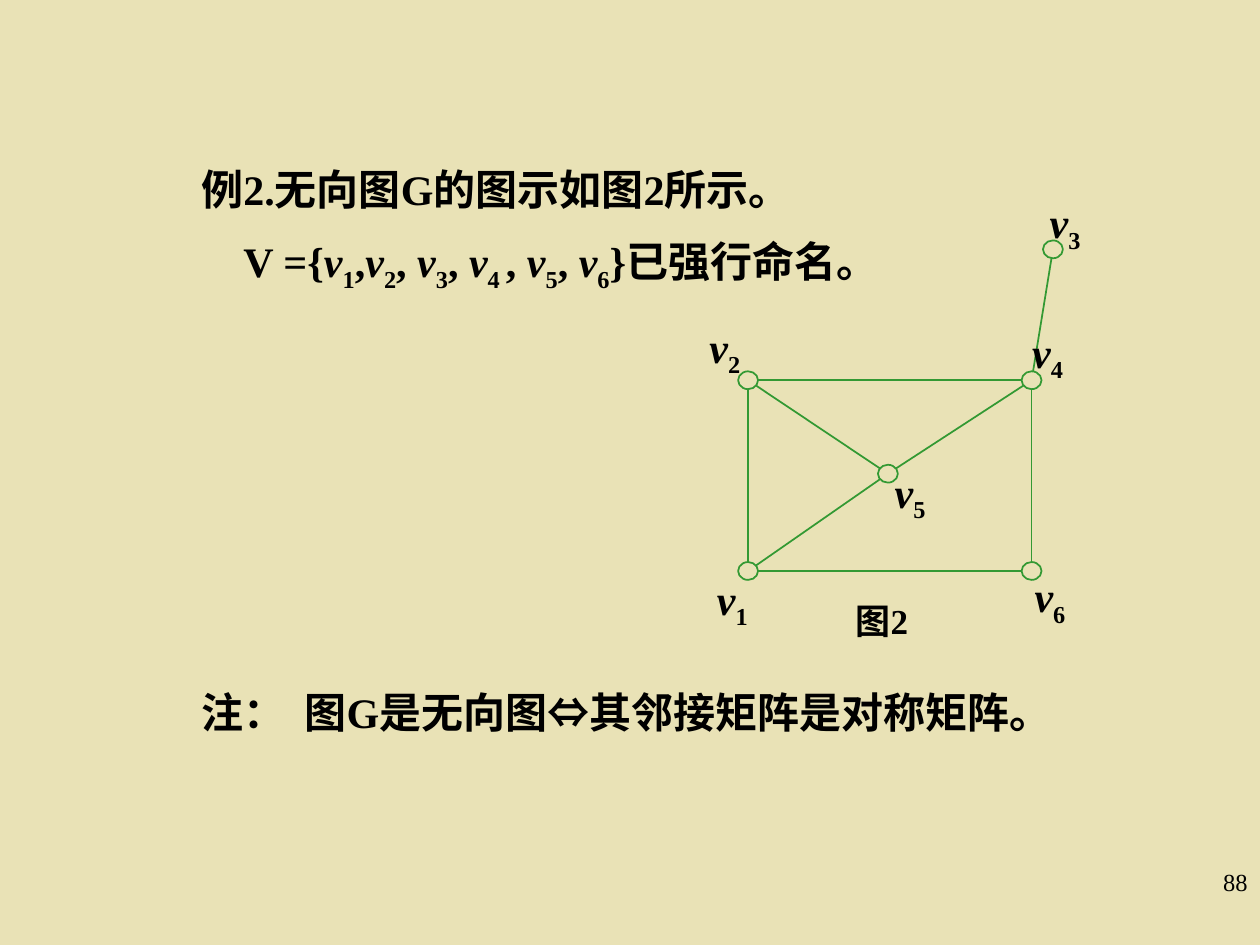
import math

import pptx
import pptx.dml.color
import pptx.enum.shapes
import pptx.enum.text
import pptx.oxml
import pptx.oxml.ns
import pptx.util

Pt = pptx.util.Pt
ALIGN = pptx.enum.text.PP_ALIGN
COLORS = {"background": "E9E2B6", "text": "000000", "graph": "339933"}
NODE_WIDTH, NODE_HEIGHT = 11.4, 10.2

# Node centre and label corner, the label measured from its node
NODES = {
    1: ((22.5, 214.3), (-17.8, 1.3)),
    2: ((22.5, 105.3), (-22.1, -33.7)),
    3: ((196.7, 30.5), (-1.9, -30.2)),
    4: ((184.5, 105.3), (0.3, -30.8)),
    5: ((102.4, 158.7), (3.8, -4.3)),
    6: ((184.5, 214.3), (1.7, 0)),
}
# Node pairs with line width
EDGES = [(2, 4, 1), (1, 6, 1), (1, 2, 1), (4, 6, 0.75),
         (2, 5, 1), (5, 1, 1), (4, 5, 1), (3, 4, 1)]


def color(name):
    return pptx.dml.color.RGBColor.from_string(COLORS[name])


def variable(index):
    """Spans for an italic v with a subscript."""
    return [("v", {"italic": True}), (index, {"sub": True})]


def add_text(page, area, paragraphs, size=24, bold=True, align=ALIGN.LEFT,
             inset=(0, 0), wrap=False, line_spacing=1, space=0, indents=(), tab=None):
    box = page.shapes.add_textbox(*(Pt(value) for value in area))
    frame = box.text_frame
    frame.word_wrap = wrap
    frame.margin_left = frame.margin_right = Pt(inset[0])
    frame.margin_top = frame.margin_bottom = Pt(inset[1])
    for index, spans in enumerate(paragraphs):
        para = frame.add_paragraph() if index else frame.paragraphs[0]
        para.alignment = align
        para.line_spacing = line_spacing
        para.space_before = Pt(space if index else 0)
        properties = para._p.get_or_add_pPr()
        if indents:
            properties.set("marL", str(Pt(indents[index])))
        if tab:
            stops = pptx.oxml.parse_xml(
                f'<a:tabLst {pptx.oxml.ns.nsdecls("a")}><a:tab pos="{Pt(tab)}" algn="l"/></a:tabLst>')
            properties.append(stops)
        for text, style in spans:
            span = para.add_run()
            span.text = text
            span.font.size = Pt(size)
            span.font.bold = bold
            span.font.italic = style.get("italic", False)
            span.font.name = style.get("font", "Times New Roman")
            span.font.color.rgb = color("text")
            if style.get("sub"):
                span.font._element.set("baseline", "-25000")
    return box


def add_node(page, x, y):
    node = page.shapes.add_shape(
        pptx.enum.shapes.MSO_SHAPE.OVAL, Pt(x - NODE_WIDTH / 2), Pt(y - NODE_HEIGHT / 2),
        Pt(NODE_WIDTH), Pt(NODE_HEIGHT))
    node.shadow.inherit = False
    node.fill.background()
    node.line.color.rgb = color("graph")
    node.line.width = Pt(1)


def add_edge(page, start, end, width):
    """Join two node centres, stopping at the rim of each node."""
    dx, dy = end[0] - start[0], end[1] - start[1]
    rim = 1 / math.hypot(dx / (NODE_WIDTH / 2), dy / (NODE_HEIGHT / 2))
    points = (start[0] + dx * rim, start[1] + dy * rim,
              end[0] - dx * rim, end[1] - dy * rim)
    edge = page.shapes.add_connector(
        pptx.enum.shapes.MSO_CONNECTOR.STRAIGHT, *(Pt(value) for value in points))
    edge.line.color.rgb = color("graph")
    edge.line.width = Pt(width)
    edge._element.spPr.append(
        pptx.oxml.parse_xml(f'<a:effectLst {pptx.oxml.ns.nsdecls("a")}/>'))


def add_example(page, area):
    vertices = [("V ={", {})]
    for index, gap in (("1", ","), ("2", ", "), ("3", ", "), ("4 ", ", "), ("5", ", "),
                       ("6", "}已强行命名。")):
        vertices += variable(index) + [(gap, {})]
    add_text(page, area, [[("例2.无向图G的图示如图2所示。", {})], vertices],
             align=ALIGN.JUSTIFY, inset=(7.2, 3.6), wrap=True,
             line_spacing=1.2, space=6, indents=(0, 24))


def add_graph(page, left, top):
    centres = {name: (left + x, top + y) for name, ((x, y), _) in NODES.items()}
    for start, end, width in EDGES:
        add_edge(page, centres[start], centres[end], width)
    for name, (x, y) in centres.items():
        add_node(page, x, y)
        dx, dy = NODES[name][1]
        add_text(page, (x + dx, y + dy, 24, 33), [variable(str(name))])
    # Caption
    add_text(page, (left + 83.9, top + 230.7, 36, 24), [[("图2", {})]], size=20)


def add_note(page, area):
    spans = [("注：\t图G是无向图", {}), ("⇔", {"font": "Arial"}),
             ("其邻接矩阵是对称矩阵。", {})]
    add_text(page, area, [spans], inset=(7.2, 3.6), wrap=True, tab=59)


def add_page_number(page, area):
    add_text(page, area, [[("88", {})]], size=14, bold=False, align=ALIGN.RIGHT,
             inset=(7.2, 3.6), wrap=True)


def main():
    deck = pptx.Presentation()
    deck.slide_width, deck.slide_height = Pt(720), Pt(540)
    page = deck.slides.add_slide(deck.slide_layouts[6])
    page.background.fill.solid()
    page.background.fill.fore_color.rgb = color("background")
    add_example(page, (108, 84, 600, 90))
    add_graph(page, 405, 112)
    add_note(page, (108, 389, 600, 40))
    add_page_number(page, (570, 492, 150, 36))
    deck.save("out.pptx")


if __name__ == "__main__":
    main()
